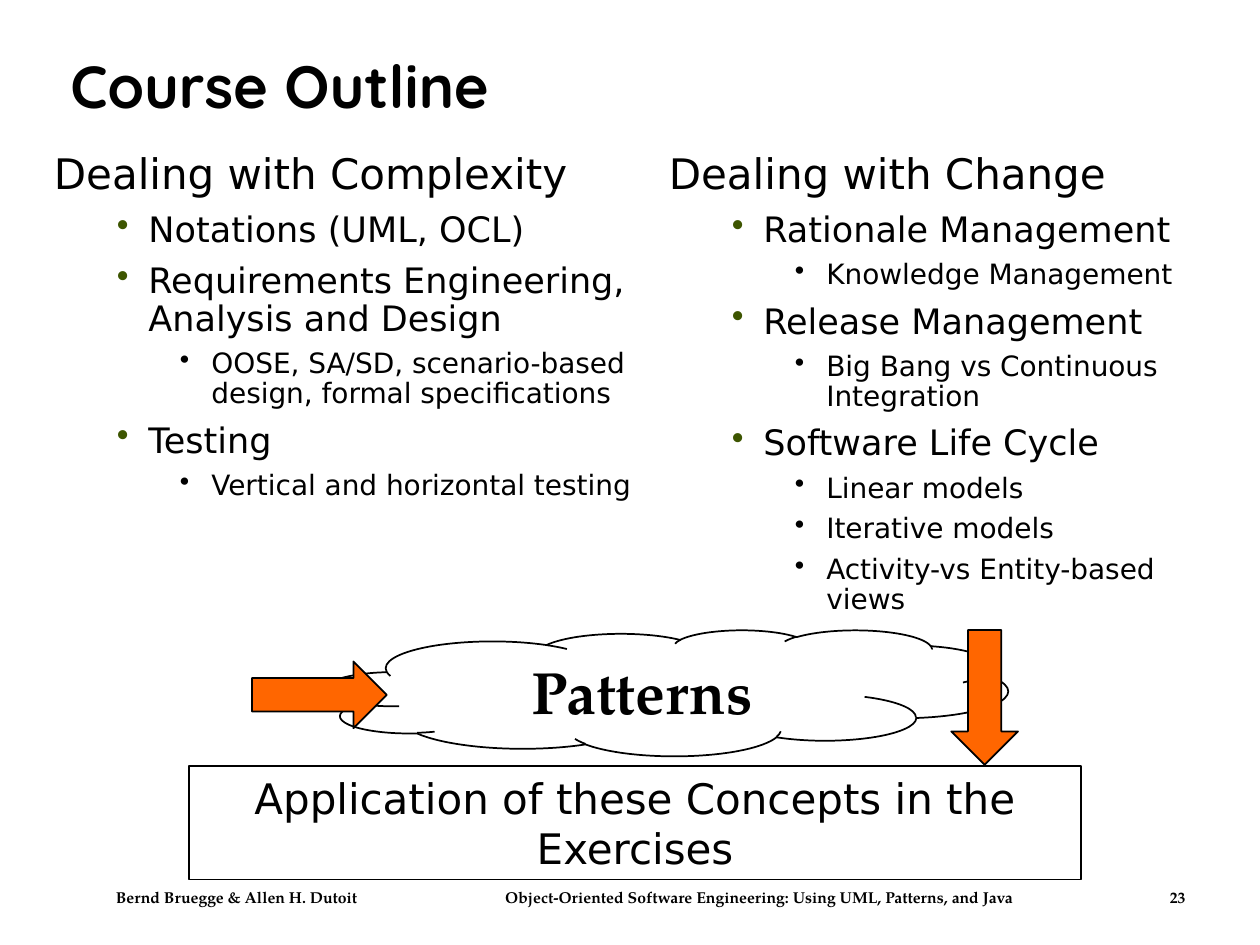
from dataclasses import dataclass

import pptx
import pptx.dml.color
import pptx.enum.shapes
import pptx.enum.text
import pptx.oxml
import pptx.oxml.ns
import pptx.util
from pptx.util import Inches

COLORS = {"ink": "000000", "green": "3D5500", "orange": "FF6600", "white": "FFFFFF"}
SANS, SERIF, ROUND = "DejaVu Sans", "TeX Gyre Pagella", "Quicksand"
KIND = pptx.enum.shapes.MSO_SHAPE
ALIGN = pptx.enum.text.PP_ALIGN
ANCHOR = pptx.enum.text.MSO_ANCHOR


@dataclass(frozen=True)
class Level:
    size: int
    left: float
    hang: float
    before: float
    bullet: str = ""


@dataclass(frozen=True)
class Item:
    text: str
    level: int = 0


@dataclass(frozen=True)
class Column:
    left: float
    width: float
    height: float
    items: tuple[Item, ...]


@dataclass(frozen=True)
class Arrow:
    kind: int
    left: float
    top: float
    width: float
    height: float


LEVELS = (
    Level(24, 0.31, 0.31, 9),
    Level(20, 0.75, 0.25, 7.5, "green"),
    Level(16, 1.25, 0.25, 6, "ink"),
)

COLUMNS = (
    Column(0.33, 4.83, 5.25, (
        Item("Dealing with Complexity"),
        Item("Notations (UML, OCL)", 1),
        Item("Requirements Engineering, Analysis and Design", 1),
        Item("OOSE, SA/SD, scenario-based design, formal specifications", 2),
        Item("Testing", 1),
        Item("Vertical and horizontal testing", 2),
    )),
    Column(5.21, 4.71, 3.95, (
        Item("Dealing with Change"),
        Item("Rationale Management", 1),
        Item("Knowledge Management", 2),
        Item("Release Management", 1),
        Item("Big Bang vs Continuous Integration", 2),
        Item("Software Life Cycle", 1),
        Item("Linear models", 2),
        Item("Iterative models", 2),
        Item("Activity-vs Entity-based views", 2),
    )),
)

ARROWS = (
    Arrow(KIND.DOWN_ARROW, 7.55, 5, 0.53, 1.07),
    Arrow(KIND.RIGHT_ARROW, 2, 5.25, 1.07, 0.53),
)


def paint(name: str) -> pptx.dml.color.RGBColor:
    return pptx.dml.color.RGBColor.from_string(COLORS[name])


def add_xml(para, body: str) -> None:
    root = pptx.oxml.parse_xml(f"<a:pPr {pptx.oxml.ns.nsdecls('a')}>{body}</a:pPr>")
    para._p.get_or_add_pPr().extend(list(root))


def write(para, text: str, *, size: float, font: str = SANS, bold: bool = False,
          align=ALIGN.LEFT, line: float | None = None) -> None:
    para.alignment = align
    if line:
        para.line_spacing = line
    run = para.add_run()
    run.text = text
    run.font.size = pptx.util.Pt(size)
    run.font.name = font
    run.font.bold = bold
    run.font.color.rgb = paint("ink")


def add_box(slide, left: float, top: float, width: float, height: float,
            anchor=ANCHOR.TOP):
    box = slide.shapes.add_textbox(Inches(left), Inches(top), Inches(width), Inches(height))
    box.text_frame.word_wrap = True
    box.text_frame.vertical_anchor = anchor
    return box.text_frame


def add_form(slide, kind, left: float, top: float, width: float, height: float,
             fill: str | None = None):
    form = slide.shapes.add_shape(
        kind, Inches(left), Inches(top), Inches(width), Inches(height))
    form.shadow.inherit = False
    if fill:
        form.fill.solid()
        form.fill.fore_color.rgb = paint(fill)
    else:
        form.fill.background()
    form.line.color.rgb = paint("ink")
    form.line.width = pptx.util.Pt(1)
    form.text_frame.word_wrap = True
    form.text_frame.vertical_anchor = ANCHOR.TOP
    return form.text_frame


def add_column(slide, column: Column) -> None:
    frame = add_box(slide, column.left, 1.17, column.width, column.height)
    for place, item in enumerate(column.items):
        level = LEVELS[item.level]
        para = frame.add_paragraph() if place else frame.paragraphs[0]
        para.level = item.level
        props = para._p.get_or_add_pPr()
        props.set("marL", str(Inches(level.left)))
        props.set("indent", str(-Inches(level.hang)))
        if place:
            para.space_before = pptx.util.Pt(level.before)
        if level.bullet:
            add_xml(para, f'<a:buClr><a:srgbClr val="{COLORS[level.bullet]}"/></a:buClr>'
                          '<a:buChar char="•"/>')
        write(para, item.text, size=level.size, line=0.9)


def add_footer(slide) -> None:
    frame = add_box(slide, 0.58, 7, 9.17, 0.25)
    frame.margin_left = Inches(0.34)
    para = frame.paragraphs[0]
    stops = ((3.09, "l"), (8.49, "r"))
    tabs = "".join(f'<a:tab pos="{Inches(pos)}" algn="{side}"/>' for pos, side in stops)
    add_xml(para, f"<a:tabLst>{tabs}</a:tabLst>")
    parts = ("Bernd Bruegge & Allen H. Dutoit",
             "Object-Oriented Software Engineering: Using UML, Patterns, and Java", "23")
    write(para, "\t".join(parts), size=9, font=SERIF, bold=True)


def main() -> None:
    deck = pptx.Presentation()
    deck.slide_width, deck.slide_height = Inches(10), Inches(7.5)
    slide = deck.slides.add_slide(deck.slide_layouts[6])

    add_footer(slide)
    title = add_box(slide, 0.46, 0.24, 8.92, 0.94, ANCHOR.MIDDLE)
    write(title.paragraphs[0], "Course Outline", size=34, font=ROUND, bold=True, line=0.9)
    for column in COLUMNS:
        add_column(slide, column)

    goal = add_form(slide, KIND.RECTANGLE, 1.5, 6.08, 7.08, 0.9)
    write(goal.paragraphs[0], "Application of these Concepts in the Exercises",
          size=24, align=ALIGN.CENTER)
    cloud = add_form(slide, KIND.CLOUD, 2.58, 5, 5.42, 1, "white")
    write(cloud.paragraphs[0], "Patterns", size=34, font=SERIF, bold=True,
          align=ALIGN.CENTER)
    for arrow in ARROWS:
        add_form(slide, arrow.kind, arrow.left, arrow.top, arrow.width, arrow.height,
                 "orange")

    deck.save("out.pptx")


if __name__ == "__main__":
    main()
